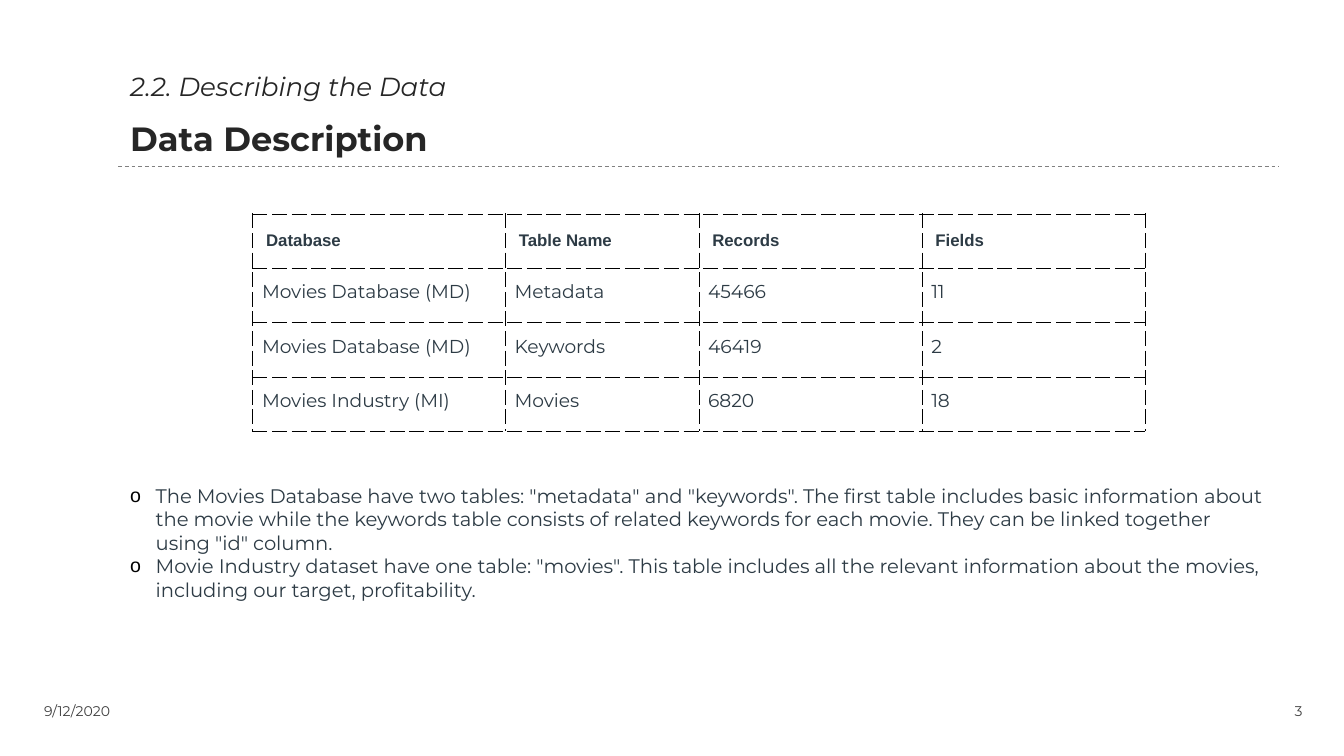
import pptx
import pptx.util
import pptx.dml.color
import pptx.enum.dml
import pptx.enum.shapes
import pptx.enum.text
import pptx.oxml
import pptx.oxml.ns

Inches = pptx.util.Inches
Pt = pptx.util.Pt
RGBColor = pptx.dml.color.RGBColor
Align = pptx.enum.text.PP_ALIGN
Anchor = pptx.enum.text.MSO_ANCHOR

BLACK = RGBColor(0x00, 0x00, 0x00)
INK = RGBColor(0x26, 0x26, 0x26)
SLATE = RGBColor(0x2D, 0x3B, 0x45)
DIM = RGBColor(0x40, 0x40, 0x40)
GRAY = RGBColor(0x80, 0x80, 0x80)

HEAD = ["Database", "Table Name", "Records", "Fields"]
ROWS = [
    ["Movies Database (MD)", "Metadata", "45466", "11"],
    ["Movies Database (MD)", "Keywords", "46419", "2"],
    ["Movies Industry (MI)", "Movies", "6820", "18"],
]
NOTES = [
    'The Movies Database have two tables: "metadata" and "keywords". '
    "The first table includes basic information about the movie while "
    "the keywords table consists of related keywords for each movie. "
    'They can be linked together using "id" column.',
    'Movie Industry dataset have one table: "movies". This table includes '
    "all the relevant information about the movies, including our target, "
    "profitability.",
]


class Deck:
    face = "Montserrat"
    alt = "Arial"

    def __init__(self, slide):
        self.slide = slide

    def font(self, run, size, color, bold=False, slant=False, face=None):
        font = run.font
        font.name = face or self.face
        font.size = Pt(size)
        font.color.rgb = color
        font.bold = bold
        font.italic = slant

    def node(self, home, tag, **attrs):
        item = pptx.oxml.parse_xml(f"<a:{tag} {pptx.oxml.ns.nsdecls('a')}/>")
        for key, val in attrs.items():
            item.set(key, str(val))
        home.append(item)
        return item

    def text(self, words, box, size, color, align=Align.LEFT, anchor=Anchor.TOP):
        frame = self.slide.shapes.add_textbox(*map(Inches, box)).text_frame
        frame.word_wrap = True
        frame.vertical_anchor = anchor
        frame.text = words
        for para in frame.paragraphs:
            para.alignment = align
            for run in para.runs:
                self.font(run, size, color)
        return frame

    def title(self, upper, lower, box):
        para = self.text(f"{upper}\v{lower}", box, 14, INK).paragraphs[0]
        para.line_spacing = 1.4
        first, last = para.runs
        self.font(first, 14, INK, slant=True)
        self.font(last, 18, INK, bold=True)

    def rule(self, left, right, top):
        kind = pptx.enum.shapes.MSO_CONNECTOR.STRAIGHT
        ends = map(Inches, (left, top, right, top))
        rule = self.slide.shapes.add_connector(kind, *ends)
        rule.line.color.rgb = GRAY
        rule.line.width = Pt(0.5)
        rule.line.dash_style = pptx.enum.dml.MSO_LINE.DASH
        self.node(rule._element.spPr, "effectLst")

    def points(self, items, box, size):
        frame = self.text("\n".join(items), box, size, SLATE)
        frame.auto_size = pptx.enum.text.MSO_AUTO_SIZE.SHAPE_TO_FIT_TEXT
        for para in frame.paragraphs:
            props = para._p.get_or_add_pPr()
            props.set("marL", str(Inches(0.19)))
            props.set("indent", str(-Inches(0.19)))
            tint = self.node(props, "buClr")
            self.node(tint, "srgbClr", val=BLACK)
            self.node(props, "buFont", typeface=self.alt)
            self.node(props, "buChar", char="o")

    def edge(self, cell):
        props = cell._tc.get_or_add_tcPr()
        for side in "LRTB":
            line = self.node(props, f"ln{side}", w=Pt(0.25))
            fill = self.node(line, "solidFill")
            self.node(fill, "srgbClr", val=BLACK)
            self.node(line, "prstDash", val="dash")

    def cell(self, cell, words, head):
        cell.text = words
        para = cell.text_frame.paragraphs[0]
        if head:
            cell.vertical_anchor = Anchor.MIDDLE
            self.font(para.runs[0], 9, SLATE, bold=True, face=self.alt)
        else:
            pad = Inches(0.07)
            cell.margin_left = cell.margin_right = pad
            cell.margin_top = cell.margin_bottom = pad
            para.line_spacing = 1.15
            self.font(para.runs[0], 10, SLATE)
        self.edge(cell)
        cell.fill.background()

    def table(self, rows, widths, left, top, height):
        box = map(Inches, (left, top, sum(widths), height))
        table = self.slide.shapes.add_table(len(rows), len(widths), *box).table
        table.first_row = False
        table.horz_banding = False
        for col, width in zip(table.columns, widths):
            col.width = Inches(width)
        for r, row in enumerate(rows):
            for c, words in enumerate(row):
                self.cell(table.cell(r, c), words, r == 0)


def main():
    show = pptx.Presentation()
    show.slide_width = Inches(10)
    show.slide_height = show.slide_width * 9 // 16
    deck = Deck(show.slides.add_slide(show.slide_layouts[6]))
    deck.text("9/12/2020", (0.23, 5.17, 2.25, 0.23), 7.5, DIM, anchor=Anchor.BOTTOM)
    deck.text("3", (8.59, 5.17, 1.2, 0.23), 7.5, DIM, Align.RIGHT, Anchor.BOTTOM)
    deck.title("2.2. Describing the Data", "Data Description", (0.87, 0.38, 8.65, 0.86))
    deck.rule(0.88, 9.52, 1.24)
    deck.table([HEAD] + ROWS, [1.88, 1.44, 1.66, 1.66], 1.88, 1.59, 1.62)
    deck.points(NOTES, (0.87, 3.55, 8.65, 0.98), 10.5)
    show.save("out.pptx")


if __name__ == "__main__":
    main()
